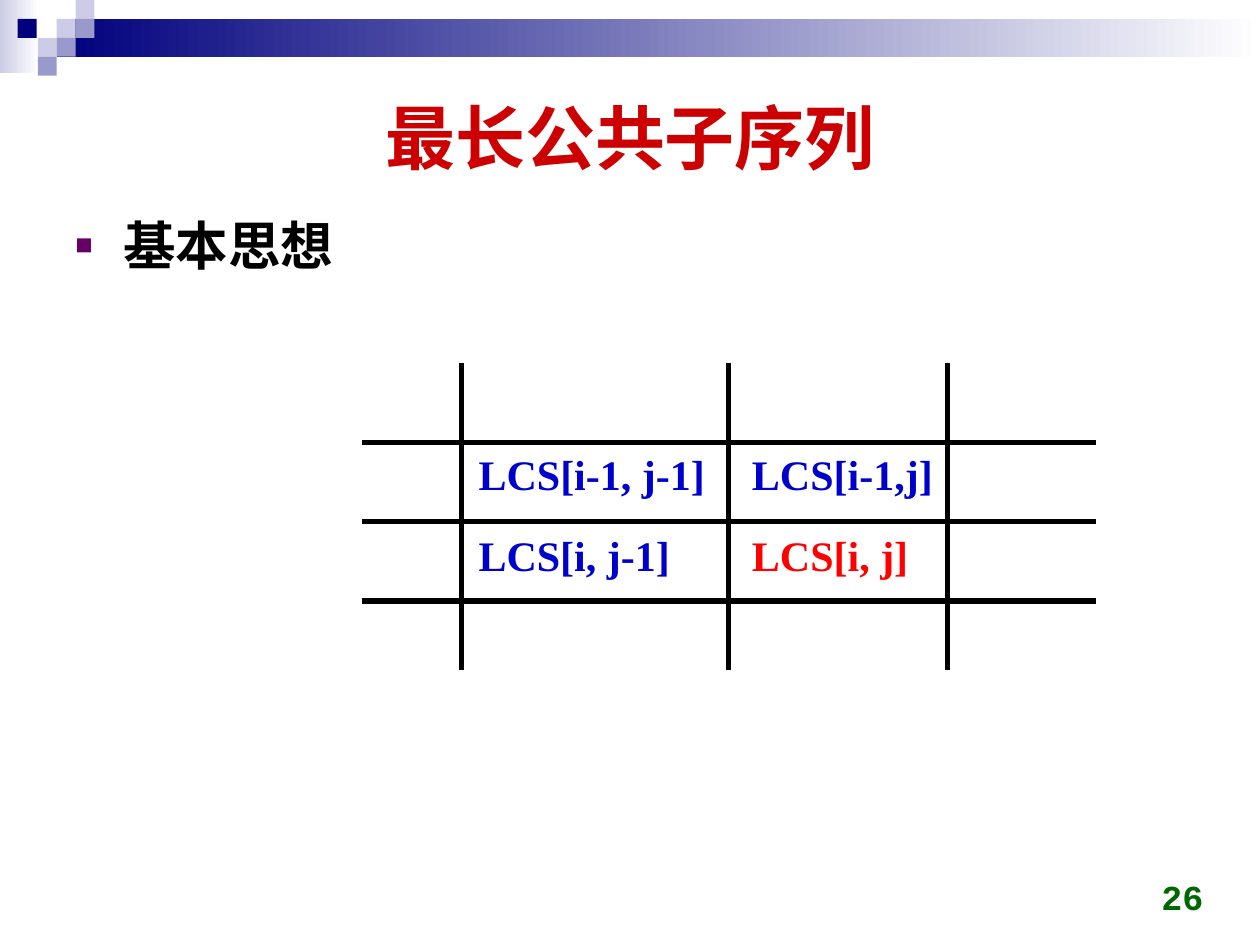
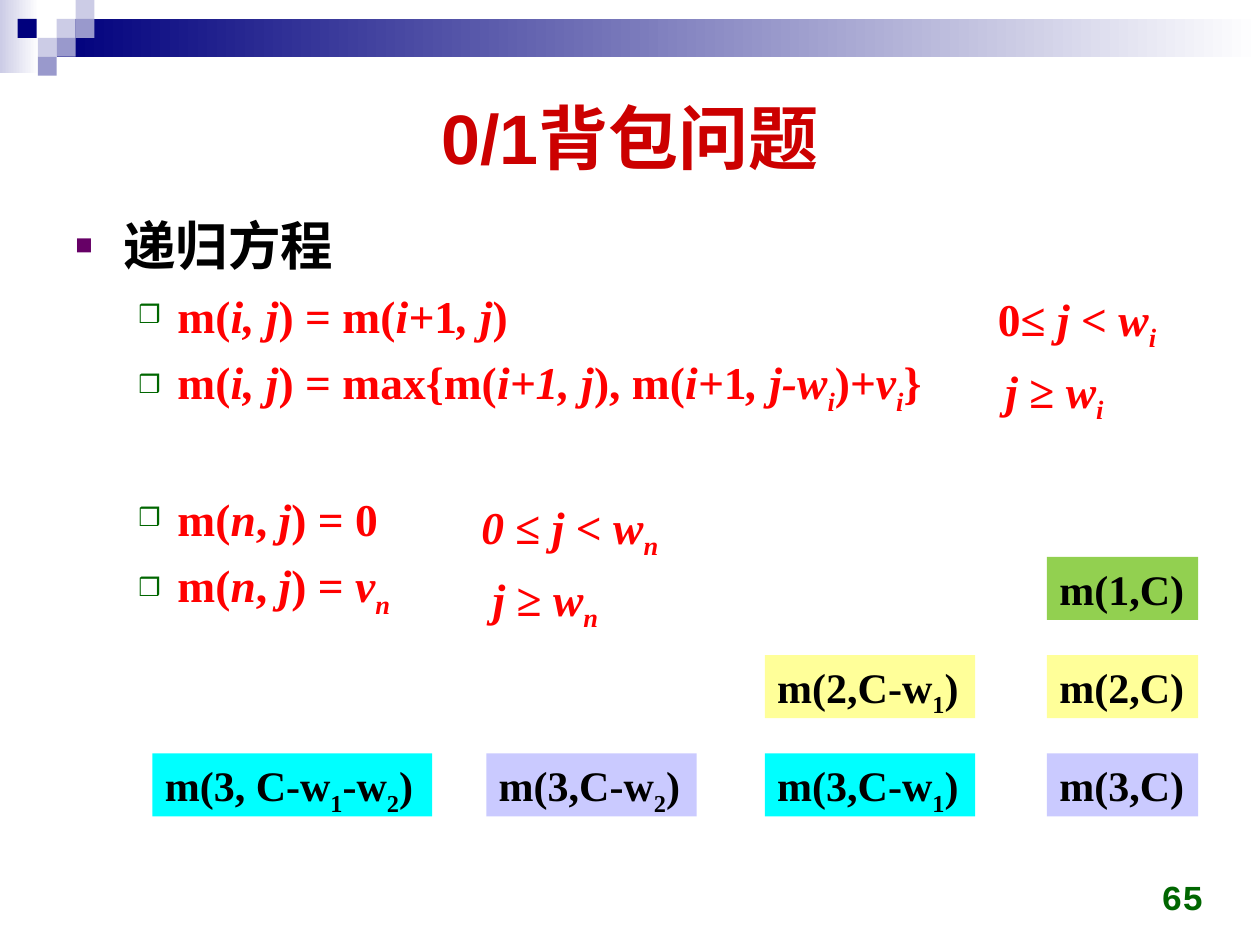
from itertools import product

from lxml import etree
from pptx import Presentation
from pptx.dml.color import RGBColor
from pptx.enum.shapes import MSO_CONNECTOR, MSO_SHAPE
from pptx.enum.text import MSO_ANCHOR, MSO_AUTO_SIZE, PP_ALIGN
from pptx.oxml.ns import qn
from pptx.util import Pt

PX = 9144  # EMU per px, 100 px to the inch
SLIDE_WIDTH, SLIDE_HEIGHT = 1000, 750
TITLE_ONLY = 5

RECTANGLE = MSO_SHAPE.RECTANGLE
STRAIGHT = MSO_CONNECTOR.STRAIGHT
TOP, MIDDLE, BOTTOM = MSO_ANCHOR.TOP, MSO_ANCHOR.MIDDLE, MSO_ANCHOR.BOTTOM
LEFT, CENTER, RIGHT = PP_ALIGN.LEFT, PP_ALIGN.CENTER, PP_ALIGN.RIGHT
NO_FIT = MSO_AUTO_SIZE.NONE

BLACK = RGBColor(0x00, 0x00, 0x00)
WHITE = RGBColor(0xFF, 0xFF, 0xFF)
NAVY = RGBColor(0x00, 0x00, 0x7D)
PALE_LILAC = RGBColor(0xCC, 0xCC, 0xE6)
LILAC = RGBColor(0x99, 0x99, 0xCC)
TITLE_RED = RGBColor(0xCC, 0x00, 0x00)
FORMULA_RED = RGBColor(0xFF, 0x00, 0x00)
CELL_BLUE = RGBColor(0x00, 0x00, 0xCC)
PURPLE = RGBColor(0x66, 0x00, 0x66)
DARK_GREEN = RGBColor(0x00, 0x66, 0x00)
GREEN = RGBColor(0x92, 0xD0, 0x50)
YELLOW = RGBColor(0xFF, 0xFF, 0x99)
CYAN = RGBColor(0x00, 0xFF, 0xFF)
LAVENDER = RGBColor(0xCA, 0xCA, 0xFF)

TITLE_FONT = {"name": "Arial", "size": Pt(40), "bold": True}
TOPIC_FONT = {"name": "Arial", "size": Pt(30), "bold": True}
FORMULA_FONT = {"name": "Times New Roman", "size": Pt(26), "bold": True}
CELL_FONT = {"name": "Times New Roman", "size": Pt(24), "bold": True}
NUMBER_FONT = {"name": "Courier New", "size": Pt(20), "bold": True}

TOPIC_BULLET = {"char": "■", "color": PURPLE, "margin": 38, "hang": 38}
FORMULA_BULLET = {"char": "❒", "color": DARK_GREEN, "margin": 81, "hang": 31}

# Left, top and colour of the small squares in the corner
TILE = 15
CORNER_TILES = [
    (45, 15, PALE_LILAC), (60, 0, PALE_LILAC), (60, 15, LILAC),
    (30, 30, PALE_LILAC), (14, 15, NAVY), (45, 30, LILAC), (30, 45, LILAC),
]

# Formula, space before in points
RECURRENCE = [
    ("m(*i, j*) = m(*i+*1*, j*)", 5),
    ("m(*i, j*) = max{m(*i+1, j*), m(*i+*1*, j-w_i_*)+*v_i_*}", 5),
    ("m(*n*, *j*) = 0", 41),
    ("m(*n*, *j*) = *v_n_*", 5),
]
# Left, top, condition
CONDITIONS = [
    (792, 231, "0≤ *j* < *w_i_*"),
    (798, 288, "*j* ≥ *w_i_*"),
    (382, 396, "*0* ≤ *j* < *w_n_*"),
    (391, 453, "*j* ≥ *w_n_*"),
]

# Left and width of each column of subproblems
SUBPROBLEM_COLUMNS = [(121, 222), (386, 167), (607, 167), (831, 120)]
SUBPROBLEM_TOP, SUBPROBLEM_PITCH, SUBPROBLEM_HEIGHT = 442, 78, 50
# Row, column, colour, label
SUBPROBLEMS = [
    (0, 3, GREEN, "m(1,C)"),
    (1, 2, YELLOW, "m(2,C-w_1_)"),
    (1, 3, YELLOW, "m(2,C)"),
    (2, 0, CYAN, "m(3, C-w_1_-w_2_)"),
    (2, 1, LAVENDER, "m(3,C-w_2_)"),
    (2, 2, CYAN, "m(3,C-w_1_)"),
    (2, 3, LAVENDER, "m(3,C)"),
]


def px(*lengths):
    return [length * PX for length in lengths]


def apply(target, values):
    for name, value in values.items():
        setattr(target, name, value)


def write_runs(paragraph, markup, font, color):
    """Write markup in which * toggles italic and _ toggles subscript."""
    state = {"*": False, "_": False}
    for piece in markup.replace("*", "\n*\n").replace("_", "\n_\n").split("\n"):
        if piece in state:
            state[piece] = not state[piece]
        elif piece:
            run = paragraph.add_run()
            run.text = piece
            apply(run.font, {**font, "italic": state["*"]})
            run.font.color.rgb = color
            if state["_"]:
                run._r.get_or_add_rPr().set("baseline", "-25000")


def set_bullet(paragraph, bullet):
    properties = paragraph._p.get_or_add_pPr()
    properties.set("marL", str(bullet["margin"] * PX))
    properties.set("indent", str(-bullet["hang"] * PX))
    color = etree.SubElement(properties, qn("a:buClr"))
    etree.SubElement(color, qn("a:srgbClr"), val=str(bullet["color"]))
    etree.SubElement(properties, qn("a:buSzPct"), val="55000")
    etree.SubElement(properties, qn("a:buFont"), typeface="Arial")
    etree.SubElement(properties, qn("a:buChar"), char=bullet["char"])


def write_line(shape, markup, font, color, align=LEFT, anchor=TOP, wrap=True):
    frame = shape.text_frame
    apply(frame, {"auto_size": NO_FIT, "word_wrap": wrap,
                  "vertical_anchor": anchor})
    paragraph = frame.paragraphs[0]
    paragraph.alignment = align
    write_runs(paragraph, markup, font, color)
    return frame


def add_text(slide, box, markup, font, color, **layout):
    return write_line(slide.shapes.add_textbox(*px(*box)), markup, font, color,
                      **layout)


def add_block(slide, box, *colors):
    """Add a rectangle in one colour, or in a left-to-right blend of two."""
    block = slide.shapes.add_shape(RECTANGLE, *px(*box))
    block.shadow.inherit = False
    block.line.fill.background()
    if len(colors) == 1:
        block.fill.solid()
        block.fill.fore_color.rgb = colors[0]
    else:
        block.fill.gradient()
        block.fill.gradient_angle = 0
        for stop, color in zip(block.fill.gradient_stops, colors):
            stop.color.rgb = color
    return block


def add_rule(slide, *ends):
    rule = slide.shapes.add_connector(STRAIGHT, *px(*ends))
    rule.line.color.rgb = BLACK
    rule.line.width = Pt(3)
    etree.SubElement(rule._element.spPr, qn("a:effectLst"))


def add_slide(deck, title, number):
    slide = deck.slides.add_slide(deck.slide_layouts[TITLE_ONLY])
    add_block(slide, (0, 0, 31, 58), PALE_LILAC, WHITE)
    add_block(slide, (45, 15, 955, 30), NAVY, WHITE)
    for left, top, color in CORNER_TILES:
        add_block(slide, (left, top, TILE, TILE), color)
    heading = slide.shapes.title
    apply(heading, dict(zip(("left", "top", "width", "height"),
                            px(50, 50, 900, 116))))
    write_line(heading, title, TITLE_FONT, TITLE_RED, CENTER, MIDDLE)
    add_text(slide, (732, 683, 233, 50), str(number), NUMBER_FONT, DARK_GREEN,
             align=RIGHT, anchor=BOTTOM)
    return slide


def add_outline(slide, topic, formulas=()):
    frame = slide.shapes.add_textbox(*px(50, 162, 900, 520)).text_frame
    frame.word_wrap = True
    heading = frame.paragraphs[0]
    set_bullet(heading, TOPIC_BULLET)
    heading.line_spacing = 1.05
    write_runs(heading, topic, TOPIC_FONT, BLACK)
    for formula, gap in formulas:
        paragraph = frame.add_paragraph()
        set_bullet(paragraph, FORMULA_BULLET)
        apply(paragraph, {"level": 1, "line_spacing": 1.05,
                          "space_before": Pt(gap)})
        write_runs(paragraph, formula, FORMULA_FONT, FORMULA_RED)


def add_condition(slide, left, top, condition):
    frame = add_text(slide, (left, top, 180, 45), condition, FORMULA_FONT,
                     FORMULA_RED)
    apply(frame, dict.fromkeys(
        ("margin_left", "margin_top", "margin_right", "margin_bottom"), 0))


def add_lcs_grid(slide):
    labels = ["LCS[i-1, j-1]", "LCS[i-1,j]", "LCS[i, j-1]", "LCS[i, j]"]
    colors = [CELL_BLUE, CELL_BLUE, CELL_BLUE, FORMULA_RED]
    widths = [202, 166, 174, 146]
    cells = product((351, 415), (370, 587))
    for (top, left), label, color, width in zip(cells, labels, colors, widths):
        add_text(slide, (left, top, width, 51), label, CELL_FONT, color,
                 wrap=False)
    for y in (351, 414, 477):
        add_rule(slide, 287, y, 870, y)
    for x in (366, 578, 752):
        add_rule(slide, x, 288, x, 532)


def add_subproblem(slide, row, column, color, label):
    left, width = SUBPROBLEM_COLUMNS[column]
    top = SUBPROBLEM_TOP + row * SUBPROBLEM_PITCH
    block = add_block(slide, (left, top, width, SUBPROBLEM_HEIGHT), color)
    write_line(block, label, CELL_FONT, BLACK, wrap=False)


def main():
    deck = Presentation()
    deck.slide_width, deck.slide_height = px(SLIDE_WIDTH, SLIDE_HEIGHT)

    subsequence = add_slide(deck, "最长公共子序列", 26)
    add_outline(subsequence, "基本思想")
    add_lcs_grid(subsequence)

    knapsack = add_slide(deck, "0/1背包问题", 65)
    add_outline(knapsack, "递归方程", RECURRENCE)
    for condition in CONDITIONS:
        add_condition(knapsack, *condition)
    for subproblem in SUBPROBLEMS:
        add_subproblem(knapsack, *subproblem)

    deck.save("out.pptx")


if __name__ == "__main__":
    main()
